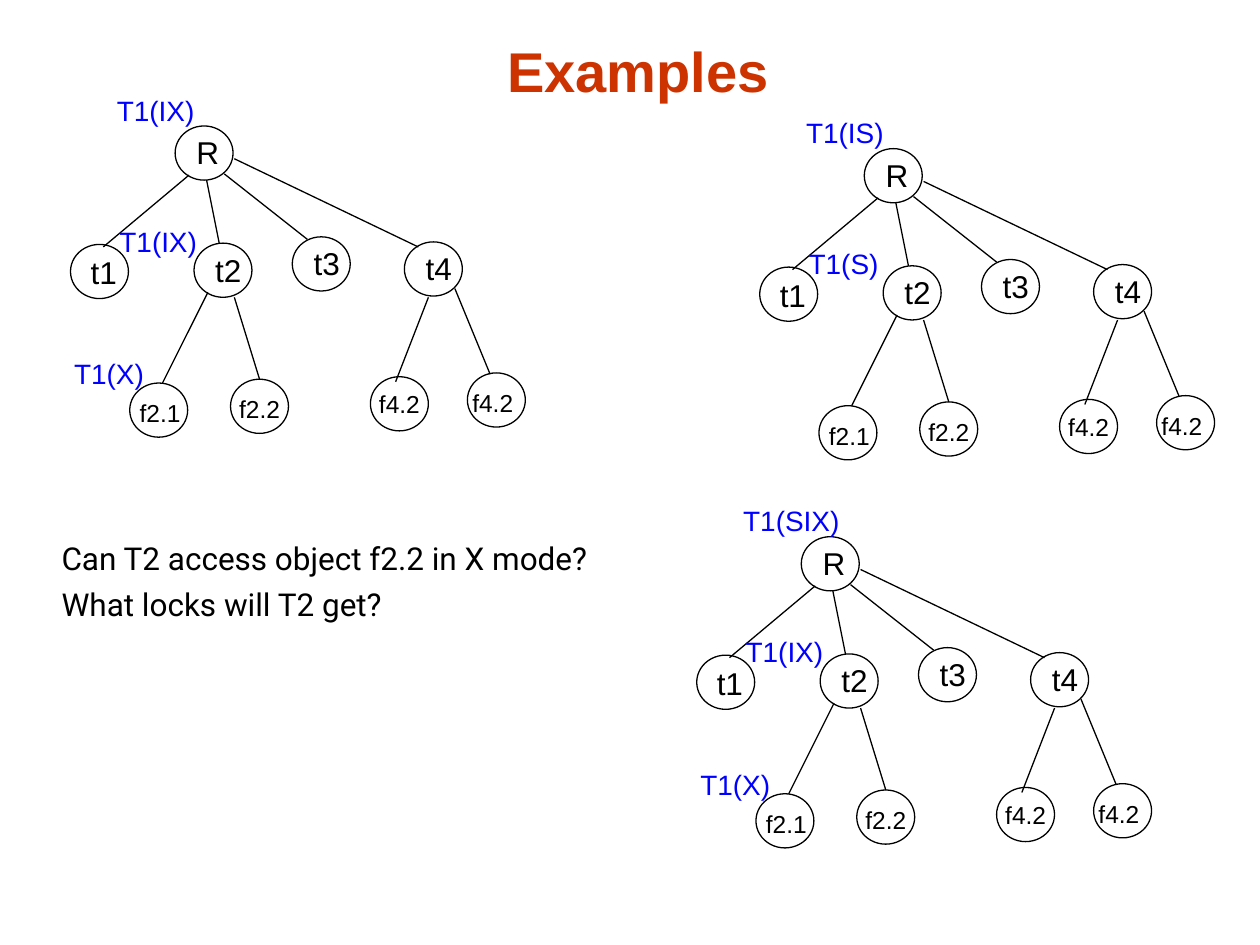
from lxml import etree
from pptx import Presentation
from pptx.dml.color import RGBColor
from pptx.enum import shapes, text
from pptx.oxml.ns import qn
from pptx.util import Inches, Pt

BLACK = RGBColor(0x00, 0x00, 0x00)
BLUE = RGBColor(0x00, 0x00, 0xFF)
RED = RGBColor(0xCC, 0x33, 0x00)

NODE_WIDTH, NODE_HEIGHT = 0.46, 0.43
TREE_WIDTH, TREE_HEIGHT = 3.68, 2.78

# Format values for each kind of text
TITLE = {"name": "Arial", "size": Pt(32), "bold": True}
NODE = {"name": "Arial", "size": Pt(18)}
LEAF = {"name": "Arial", "size": Pt(14)}
LOCK = {"name": "Arial", "size": Pt(16)}
QUESTION = {"name": "Roboto", "size": Pt(18)}

# Nodes: name, offset in the tree, label offset from the circle, label size, format
NODES = [
    ("R", (0.90, 0.31), (0.07, 0.01), (0.39, 0.40), NODE),
    ("t1", (0.07, 1.25), (0.06, 0.02), (0.42, 0.40), NODE),
    ("t2", (1.05, 1.24), (0.07, 0.01), (0.42, 0.40), NODE),
    ("t3", (1.83, 1.19), (0.07, 0.01), (0.42, 0.40), NODE),
    ("t4", (2.72, 1.23), (0.07, 0.01), (0.42, 0.40), NODE),
    ("f2.1", (0.54, 2.35), (-0.02, 0.07), (0.53, 0.34), LEAF),
    ("f2.2", (1.34, 2.32), (-0.03, 0.07), (0.53, 0.34), LEAF),
    ("f4.2", (2.45, 2.30), (-0.03, 0.05), (0.53, 0.34), LEAF),
    ("f4.2", (3.22, 2.27), (-0.06, 0.07), (0.53, 0.34), LEAF),
]

# Branches: start and end offsets in the tree
BRANCHES = [
    ((1.01, 0.70), (0.33, 1.27)),
    ((1.15, 0.74), (1.25, 1.24)),
    ((1.29, 0.69), (1.95, 1.21)),
    ((1.37, 0.57), (2.83, 1.27)),
    ((1.16, 1.63), (0.80, 2.35)),
    ((1.37, 1.67), (1.57, 2.32)),
    ((2.91, 1.67), (2.65, 2.34)),
    ((3.12, 1.60), (3.40, 2.28)),
]

# Lock offsets by tree level, from the root down
LOCK_OFFSETS = [(0.34, 0), (0.36, 1.04), (0, 2.09)]

# Trees: box, then lock name and label width for each level
TREES = [
    ((0.49, 0.69, TREE_WIDTH, TREE_HEIGHT),
     [("T1(IX)", 0.83), ("T1(IX)", 0.83), ("T1(X)", 0.77)]),
    ((5.96, 0.87, TREE_WIDTH, TREE_HEIGHT),
     [("T1(IS)", 0.83), ("T1(S)", 0.77)]),
    ((5.46, 3.95, TREE_WIDTH, TREE_HEIGHT),
     [("T1(SIX)", 0.98), ("T1(IX)", 0.83), ("T1(X)", 0.77)]),
]


def format_font(span, style, color):
    for name, value in style.items():
        setattr(span.font, name, value)
    span.font.color.rgb = color


def add_label(page, box, lines, style, color, space_before=0):
    label = page.shapes.add_textbox(*map(Inches, box))
    frame = label.text_frame
    frame.word_wrap = False
    frame.auto_size = text.MSO_AUTO_SIZE.SHAPE_TO_FIT_TEXT
    for index, line in enumerate(lines):
        para = frame.add_paragraph() if index else frame.paragraphs[0]
        para.space_before = Pt(space_before)
        span = para.add_run()
        span.text = line
        format_font(span, style, color)


def add_node(page, left, top):
    circle = page.shapes.add_shape(
        shapes.MSO_SHAPE.OVAL,
        *map(Inches, (left, top, NODE_WIDTH, NODE_HEIGHT)))
    circle.shadow.inherit = False
    circle.fill.background()
    circle.line.color.rgb = BLACK
    circle.line.width = Pt(0.75)


def add_branch(page, start, end):
    branch = page.shapes.add_connector(
        shapes.MSO_CONNECTOR.STRAIGHT, *map(Inches, (*start, *end)))
    branch.line.color.rgb = BLACK
    branch.line.width = Pt(0.75)
    etree.SubElement(branch._element.spPr, qn("a:effectLst"))


def add_title(page, box):
    title = page.shapes.title
    for name, value in zip(("left", "top", "width", "height"), box):
        setattr(title, name, Inches(value))
    frame = title.text_frame
    frame.vertical_anchor = text.MSO_ANCHOR.BOTTOM
    para = frame.paragraphs[0]
    para.alignment = text.PP_ALIGN.CENTER
    span = para.add_run()
    span.text = "Examples"
    format_font(span, TITLE, RED)


def add_lock_tree(page, box, locks):
    left, top, width, height = box
    across, down = width / TREE_WIDTH, height / TREE_HEIGHT

    def place(offset):
        return left + offset[0] * across, top + offset[1] * down

    # Circles with their names
    for name, offset, shift, size, style in NODES:
        x, y = place(offset)
        add_node(page, x, y)
        add_label(page, (x + shift[0], y + shift[1], *size), [name], style, BLACK)

    # Branches
    for start, end in BRANCHES:
        add_branch(page, place(start), place(end))

    # Locks held at each level
    for (name, label_width), offset in zip(locks, LOCK_OFFSETS):
        add_label(page, (*place(offset), label_width, 0.37), [name], LOCK, BLUE)


def add_questions(page, box):
    lines = ["Can T2 access object f2.2 in X mode?", "What locks will T2 get?"]
    add_label(page, box, lines, QUESTION, BLACK, space_before=4.5)


def main():
    deck = Presentation()
    deck.slide_width, deck.slide_height = Inches(10), Inches(7.5)
    page = deck.slides.add_slide(deck.slide_layouts.get_by_name("Title Only"))
    add_title(page, (0.65, 0.2, 8.83, 0.67))
    for box, locks in TREES:
        add_lock_tree(page, box, locks)
    add_questions(page, (0.39, 4.23, 4.53, 1.07))
    deck.save("out.pptx")


if __name__ == "__main__":
    main()
